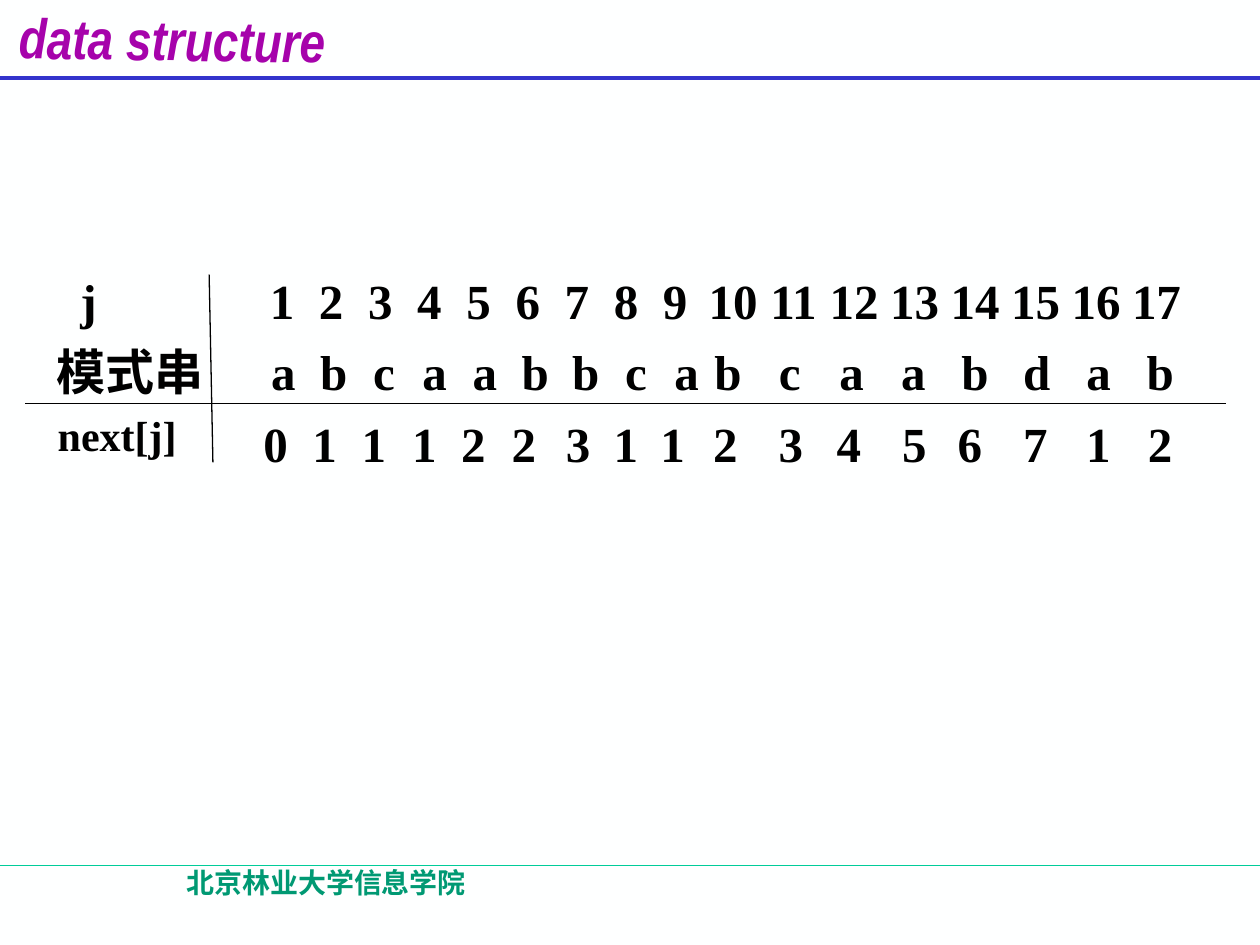
from lxml.etree import SubElement as Sub
from pptx import Presentation
from pptx.dml.color import RGBColor
from pptx.enum.shapes import MSO_CONNECTOR as Conn
from pptx.enum.text import MSO_ANCHOR as Anchor, MSO_AUTO_SIZE as Auto, PP_ALIGN as Align
from pptx.oxml.ns import qn
from pptx.util import Inches, Pt

SERIF, CJK = "Times New Roman", "Noto Sans CJK SC"
BODY = (0.35, 2.1, 9.29, 1.18)
INSET = 0.1

# Row: label, values, first centre and step of the narrow and wide columns
ROWS = [
    ("\tj", [str(n) for n in range(1, 18)], (2.24, 0.39), (5.82, 0.48)),
    ("模式串", "abcaabbcabcaabdab", (2.25, 0.4), (5.78, 0.49)),
]
NARROW = 9
NEXT = "01112231123456712"
LEFTS = [2.09, 2.48, 2.87, 3.27, 3.66, 4.06, 4.49, 4.87, 5.24,
         5.66, 6.18, 6.64, 7.16, 7.6, 8.12, 8.62, 9.11]


def color(code):
    return RGBColor.from_string(code)


def style(para, size, face=SERIF, code="000000", slant=False):
    font = para.font
    font.size, font.name = Pt(size), face
    font.bold, font.italic = True, slant
    font.color.rgb = color(code)
    east = Sub(para._p.pPr.find(qn("a:defRPr")), qn("a:ea"))
    east.set("typeface", CJK)


def frame(shape, wrap=True, pad=INSET):
    text = shape.text_frame
    text.word_wrap, text.auto_size = wrap, Auto.NONE
    text.vertical_anchor = Anchor.TOP
    text.margin_left = text.margin_right = Inches(pad)
    text.margin_top = text.margin_bottom = Inches(pad / 2)
    return text


def label(slide, box, words, size, wrap=False, pad=INSET, align=Align.LEFT, **look):
    shape = slide.shapes.add_textbox(*map(Inches, box))
    para = frame(shape, wrap, pad).paragraphs[0]
    para.text, para.alignment = words, align
    style(para, size, **look)


def rule(slide, start, end, code="000000", width=0.75):
    line = slide.shapes.add_connector(Conn.STRAIGHT, *map(Inches, start + end))
    line.line.color.rgb = color(code)
    line.line.width = Pt(width)
    Sub(line._element.spPr, qn("a:effectLst"))


def header(slide):
    title = slide.shapes.title
    title.left, title.top = Inches(0.05), Inches(-0.01)
    title.width, title.height = Inches(2.7), Inches(0.54)
    title.rotation = 0.8
    para = frame(title, wrap=False).paragraphs[0]
    para.text, para.alignment = "data structure", Align.LEFT
    style(para, 32, "Arial Narrow", "A603AB", True)


def set_tabs(para, stops):
    tabs = Sub(para._p.get_or_add_pPr(), qn("a:tabLst"))
    for spot, kind in stops:
        tab = Sub(tabs, qn("a:tab"))
        tab.set("pos", str(Inches(spot - BODY[0] - INSET)))
        tab.set("algn", kind)


def pattern(slide):
    text = frame(slide.shapes.add_textbox(*map(Inches, BODY)))
    for num, (name, cells, near, far) in enumerate(ROWS):
        para = text.add_paragraph() if num else text.paragraphs[0]
        para.text = "\t".join([name, *cells])
        stops = [(0.64, "l")] if name.startswith("\t") else []
        for col in range(len(cells)):
            (first, step), k = (near, col) if col < NARROW else (far, col - NARROW)
            stops.append((first + k * step, "ctr"))
        set_tabs(para, stops)
        para.space_before = Pt(7 * num)
        style(para, 28)


def main():
    deck = Presentation()
    deck.slide_width, deck.slide_height = Inches(10), Inches(7.5)
    slide = deck.slides.add_slide(deck.slide_layouts[5])
    fill = slide.background.fill
    fill.solid()
    fill.fore_color.rgb = color("FEFFFF")

    # Header and footer rules
    rule(slide, (0, 6.87), (10, 6.87), "00CC99")
    rule(slide, (0, 0.62), (10, 0.62), "3333CC", 2.25)
    header(slide)

    # Pattern rows and the grid lines
    pattern(slide)
    rule(slide, (0.2, 3.2), (9.73, 3.2))
    rule(slide, (1.69, 3.67), (1.66, 2.18))

    # Values of next[j]
    label(slide, (0.36, 3.2, 1.14, 0.5), "next[j]", 24)
    for left, digit in zip(LEFTS, NEXT):
        label(slide, (left, 3.28, 0.19, 0.47), digit, 28, pad=0)

    # Footer
    label(slide, (0.52, 6.82, 4.14, 0.5), "北京林业大学信息学院", 16,
          wrap=True, align=Align.CENTER, face=CJK, code="009973")
    deck.save("out.pptx")


if __name__ == "__main__":
    main()
